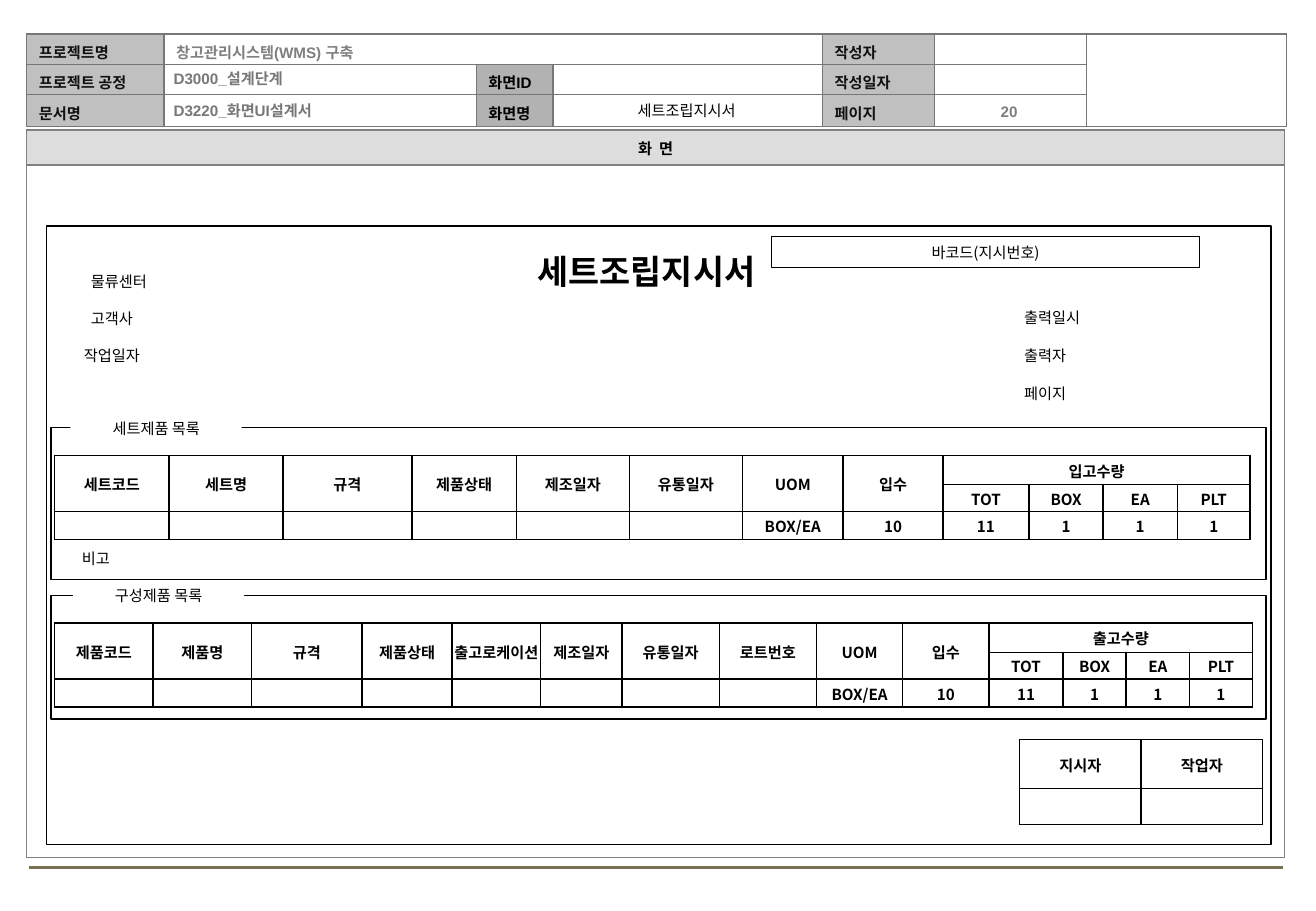
from lxml.etree import SubElement
from pptx import Presentation
from pptx.dml.color import RGBColor
from pptx.enum.shapes import MSO_CONNECTOR, MSO_SHAPE
from pptx.enum.text import MSO_ANCHOR, PP_ALIGN
from pptx.oxml.ns import qn
from pptx.util import Inches, Pt

KOREAN_FONT = "Noto Sans CJK KR"
BLACK, GRAY = "000000", "777777"


def rgb(hex_color):
    return RGBColor.from_string(hex_color)


class FormSlide:
    """Draws the parts of a form on one slide in one style."""

    def __init__(self, slide, size=9):
        self.slide = slide
        self.size = size

    def set_text(self, text_frame, text, color=BLACK, font=KOREAN_FONT, size=None,
                 bold=False, align=PP_ALIGN.LEFT):
        text_frame.text = text
        paragraph = text_frame.paragraphs[0]
        paragraph.alignment = align
        for run in paragraph.runs:
            run.font.name = font
            run.font.size = Pt(size or self.size)
            run.font.bold = bold
            run.font.color.rgb = rgb(color)
            east_asian = SubElement(run.font._element, qn("a:ea"))
            east_asian.set("typeface", KOREAN_FONT)
        if not text:
            # Keeps empty cells from growing to the default text size
            end = SubElement(paragraph._p, qn("a:endParaRPr"))
            end.set("sz", str(self.size * 100))

    def text(self, left, top, width, text, height=0.25, wrap=True, **style):
        box = self.slide.shapes.add_textbox(
            Inches(left), Inches(top), Inches(width), Inches(height))
        box.text_frame.word_wrap = wrap
        box.text_frame.vertical_anchor = MSO_ANCHOR.MIDDLE
        self.set_text(box.text_frame, text, **style)

    def box(self, left, top, width, height, text="", fill=None, line=None):
        shape = self.slide.shapes.add_shape(
            MSO_SHAPE.RECTANGLE, Inches(left), Inches(top), Inches(width), Inches(height))
        shape.shadow.inherit = False
        if fill:
            shape.fill.solid()
            shape.fill.fore_color.rgb = rgb(fill)
        else:
            shape.fill.background()
        if line:
            shape.line.color.rgb = rgb(line)
            shape.line.width = Pt(0.75)
        else:
            shape.line.fill.background()
        if text:
            self.set_text(shape.text_frame, text, align=PP_ALIGN.CENTER)

    def line(self, left, right, y, color, width):
        connector = self.slide.shapes.add_connector(
            MSO_CONNECTOR.STRAIGHT, Inches(left), Inches(y), Inches(right), Inches(y))
        connector.line.color.rgb = rgb(color)
        connector.line.width = Pt(width)
        SubElement(connector._element.spPr, qn("a:effectLst"))

    def borders(self, cell, color):
        properties = cell._tc.get_or_add_tcPr()
        for position, side in enumerate(("lnL", "lnR", "lnT", "lnB")):
            line = properties.makeelement(qn("a:" + side), {"w": str(Pt(1))})
            fill = SubElement(line, qn("a:solidFill"))
            SubElement(fill, qn("a:srgbClr")).set("val", color)
            properties.insert(position, line)

    def table(self, left, top, widths, heights, texts, border=BLACK, merges=(),
              column_styles=None, margins=(0.01, 0.01, 0.01, 0),
              font=KOREAN_FONT, align=PP_ALIGN.CENTER):
        """column_styles maps a column to the fill and text colour of its filled-in cells."""
        table = self.slide.shapes.add_table(
            len(heights), len(widths), Inches(left), Inches(top),
            Inches(sum(widths)), Inches(sum(heights))).table
        table.first_row = table.horz_banding = False
        for column, width in zip(table.columns, widths):
            column.width = Inches(width)
        for row, height in zip(table.rows, heights):
            row.height = Inches(height)
        for row_index, row_texts in enumerate(texts):
            for column_index, text in enumerate(row_texts):
                cell = table.cell(row_index, column_index)
                fill, color = (column_styles or {}).get(column_index, (None, BLACK))
                (cell.margin_left, cell.margin_top,
                 cell.margin_right, cell.margin_bottom) = map(Inches, margins)
                cell.vertical_anchor = MSO_ANCHOR.MIDDLE
                self.set_text(cell.text_frame, text, color, font, bold=True, align=align)
                if fill and text:
                    cell.fill.solid()
                    cell.fill.fore_color.rgb = rgb(fill)
                else:
                    cell.fill.background()
                self.borders(cell, border)
        for first, last in merges:
            table.cell(*first).merge(table.cell(*last))

    def item_table(self, top, widths, headings, quantity):
        """A product list: plain headings over two rows, then a group of four quantities."""
        count = len(headings)
        texts = [
            headings + [quantity, "", "", ""],
            [""] * count + ["TOT", "BOX", "EA", "PLT"],
            [""] * (count - 2) + ["BOX/EA", "10", "11", "1", "1", "1"],
        ]
        merges = [((0, column), (1, column)) for column in range(count)]
        merges.append(((0, count), (0, count + 3)))
        self.table(0.45, top, widths, [0.24, 0.22, 0.23], texts, merges=merges)

    def group(self, top, height, label_left, label):
        self.box(0.42, top, 10, height, line=BLACK)
        self.box(label_left, top - 0.12, 1.41, 0.25, label, fill="FFFFFF")


def main():
    presentation = Presentation()
    presentation.slide_width = Inches(10.83)
    presentation.slide_height = Inches(7.5)
    form = FormSlide(presentation.slides.add_slide(presentation.slide_layouts[6]))

    # Document header
    form.line(0.24, 10.56, 7.14, "7A6F54", 1.75)
    label_style = ("C0C0C0", "111111")
    form.table(
        0.22, 0.28, [1.13, 2.57, 0.63, 2.22, 0.92, 1.25, 1.65], [0.25, 0.25, 0.26],
        [["프로젝트명", "창고관리시스템(WMS) 구축", "", "", "작성자", "", ""],
         ["프로젝트 공정", "", "화면ID", "", "작성일자", "", ""],
         ["문서명", "", "화면명", "", "페이지", "", ""]],
        border=GRAY, merges=[((0, 1), (0, 3)), ((0, 6), (2, 6))],
        column_styles={0: label_style, 1: (None, "808080"),
                       2: ("B2B2B2", BLACK), 4: label_style},
        margins=(0.1, 0.04, 0.1, 0), font="Arial", align=PP_ALIGN.LEFT)
    for top, text in ((0.52, "D3000_설계단계"), (0.78, "D3220_화면UI설계서")):
        form.text(1.33, top, 5.42, text, color=GRAY, font="Arial", bold=True)

    # Screen area
    form.table(0.22, 1.07, [10.35], [0.29, 5.7], [["화  면"], [""]], border="808080",
               column_styles={0: ("DDDDDD", BLACK)}, font="Arial")
    form.text(7.68, 0.79, 1.25, "20", color="7F7F7F", font="Arial", bold=True,
              align=PP_ALIGN.CENTER)
    form.text(4.56, 0.78, 2.18, "세트조립지시서", align=PP_ALIGN.CENTER)
    form.box(0.38, 1.86, 10.08, 5.09, line=BLACK)

    # Title, barcode and field labels
    form.text(4.32, 2.02, 2, "세트조립지시서", height=0.42, wrap=False, size=20, bold=True,
              align=PP_ALIGN.CENTER)
    form.box(6.35, 1.95, 3.52, 0.25, "바코드(지시번호)", line=BLACK)
    for left, top, label in (
            (0.65, 2.19, "물류센터"), (0.65, 2.5, "고객사"),
            (8.33, 2.49, "출력일시"), (8.33, 2.8, "출력자"), (8.33, 3.11, "페이지")):
        form.text(left, top, 0.86, label)
    for left, top, label in ((0.57, 2.8, "작업일자"), (0.44, 4.47, "비고")):
        form.text(left, top, 0.7, label, align=PP_ALIGN.CENTER)

    # Set products
    form.item_table(
        3.75, [0.94, 0.94, 1.06, 0.86, 0.93, 0.93, 0.83, 0.82, 0.71, 0.61, 0.61, 0.6],
        ["세트코드", "세트명", "규격", "제품상태", "제조일자", "유통일자", "UOM", "입수"],
        "입고수량")
    form.group(3.52, 1.25, 0.58, "세트제품 목록")

    # Component products
    form.item_table(
        5.13, [0.81, 0.81, 0.91, 0.74, 0.73, 0.67, 0.8, 0.8, 0.71, 0.71,
               0.61, 0.52, 0.52, 0.52],
        ["제품코드", "제품명", "규격", "제품상태", "출고로케이션", "제조일자", "유통일자",
         "로트번호", "UOM", "입수"],
        "출고수량")
    form.group(4.9, 1.02, 0.6, "구성제품 목록")

    # Sign-off
    form.table(8.39, 6.09, [1, 1], [0.4, 0.3], [["지시자", "작업자"], ["", ""]])

    presentation.save("out.pptx")


if __name__ == "__main__":
    main()
